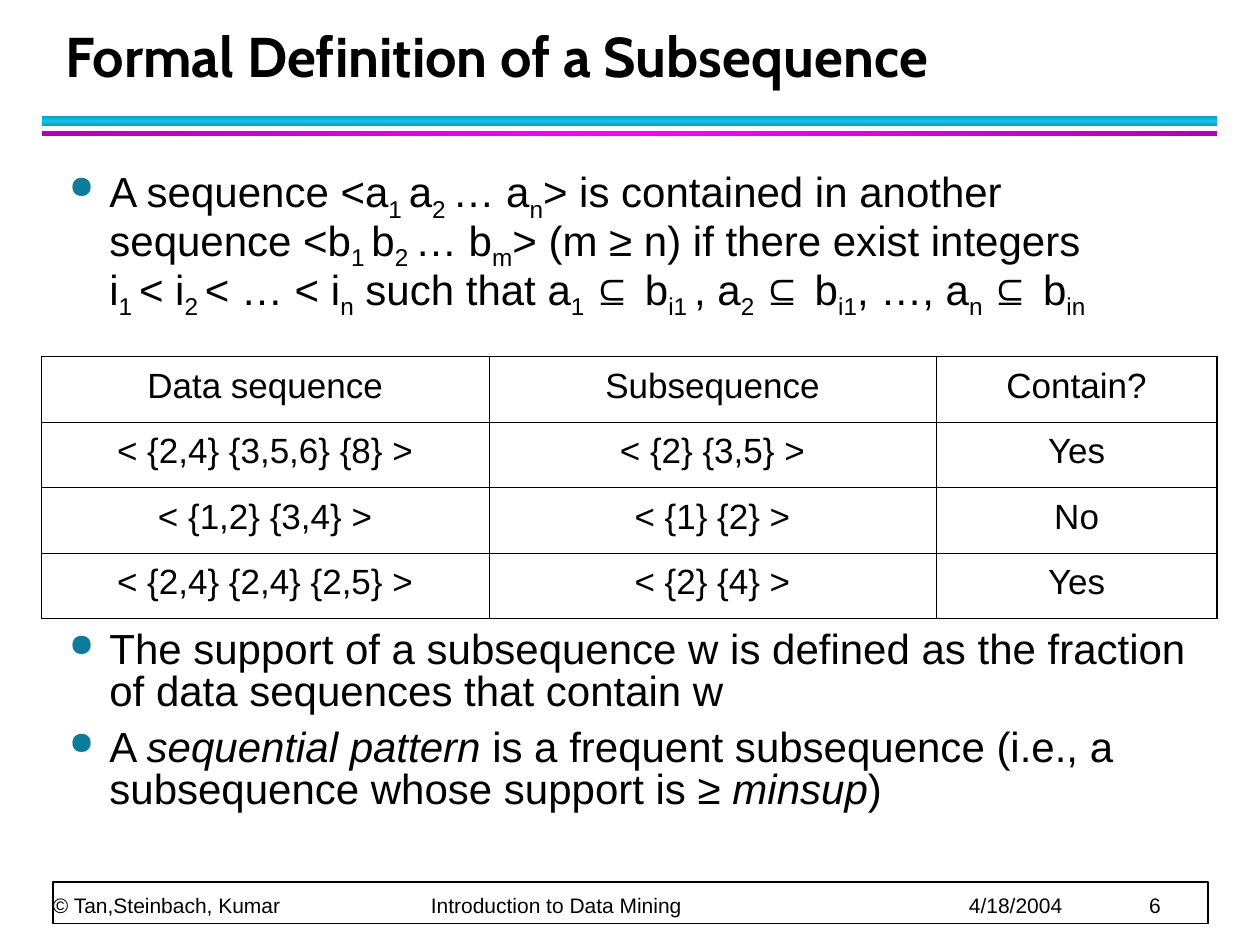
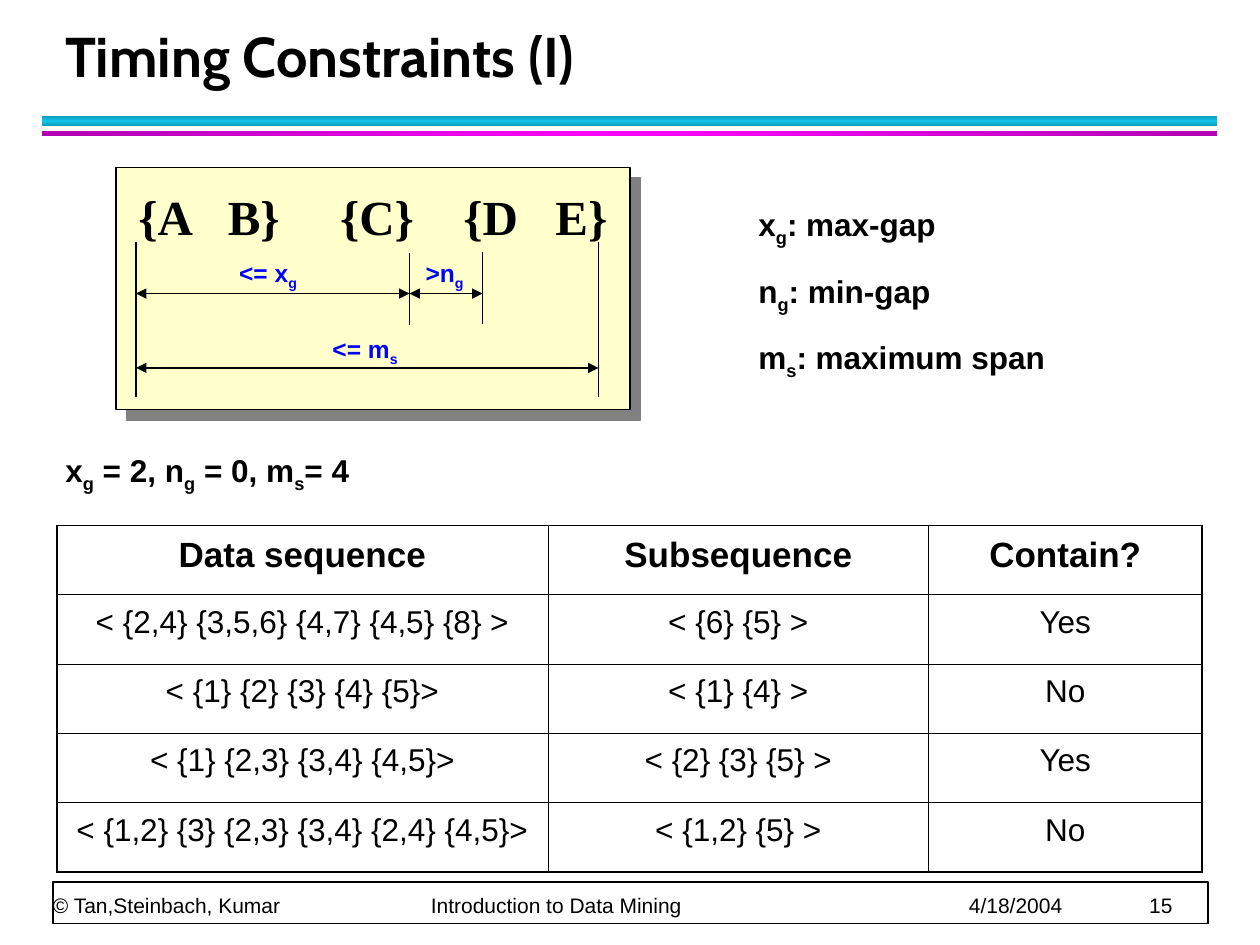
from lxml import etree
from pptx import Presentation
from pptx.dml.color import RGBColor
from pptx.enum import shapes, text
from pptx.oxml import parse_xml
from pptx.oxml import ns
from pptx.util import Inches, Pt

COLORS = {
    "black": "000000",
    "white": "FFFFFF",
    "teal": "0E9BBA",
    "cyan": "12C2E9",
    "purple": "B200B2",
    "magenta": "FF00FF",
    "bullet": "0C7B9C",
    "cream": "FFFFCC",
    "gray": "808080",
    "blue": "0000FF",
}
SUB = "sub"
ITALIC = "italic"


def rgb(name):
    return RGBColor.from_string(COLORS[name])


def add_xml(parent, tag, **attrs):
    el = etree.SubElement(parent, ns.qn(tag))
    for key, value in attrs.items():
        el.set(key, str(value))
    return el


def add_run(p, content, size, color="black", font="Arial", bold=False):
    r = p.add_run()
    r.text = content
    r.font.size = Pt(size)
    r.font.name = font
    r.font.bold = bold
    r.font.color.rgb = rgb(color)
    return r


def add_rich(p, content, size, marked=SUB, **style):
    for i, part in enumerate(content.split("|")):
        for j, piece in enumerate(part.split("\n")):
            if j:
                p.add_line_break()
            if not piece:
                continue
            r = add_run(p, piece, size, **style)
            if i % 2 and marked == SUB:
                r.font._element.set("baseline", "-25000")
            elif i % 2:
                r.font.italic = True


def add_tabs(p, stops):
    tabs = add_xml(p._p.get_or_add_pPr(), "a:tabLst")
    for stop in stops:
        add_xml(tabs, "a:tab", pos=Inches(stop), algn="l")


def add_box(s, x, y, w, h, wrap=True, margins=(0.1, 0.05), anchor="TOP"):
    sp = s.shapes.add_textbox(Inches(x), Inches(y), Inches(w), Inches(h))
    tf = sp.text_frame
    tf.word_wrap = wrap
    tf.margin_left = tf.margin_right = Inches(margins[0])
    tf.margin_top = tf.margin_bottom = Inches(margins[1])
    tf.vertical_anchor = text.MSO_ANCHOR[anchor]
    return sp


def add_rect(s, x, y, w, h, fill, line_width=0):
    sp = s.shapes.add_shape(
        shapes.MSO_SHAPE.RECTANGLE, Inches(x), Inches(y), Inches(w), Inches(h))
    sp.shadow.inherit = False
    sp.fill.solid()
    sp.fill.fore_color.rgb = rgb(fill)
    if line_width:
        sp.line.color.rgb = rgb("black")
        sp.line.width = Pt(line_width)
    else:
        sp.line.fill.background()
    return sp


def add_band(s, y, h, edge, middle, angle):
    sp = add_rect(s, 0.33, y, 9.33, h, edge)
    stops = "".join(
        f'<a:gs pos="{pos * 1000}"><a:srgbClr val="{COLORS[c]}"/></a:gs>'
        for pos, c in ((0, edge), (50, middle), (100, edge)))
    grad = parse_xml(
        f'<a:gradFill {ns.nsdecls("a")}><a:gsLst>{stops}</a:gsLst>'
        f'<a:lin ang="{angle * 60000}" scaled="0"/></a:gradFill>')
    spPr = sp._element.spPr
    spPr.replace(spPr.find(ns.qn("a:solidFill")), grad)


def add_footer(s, number):
    add_rect(s, 0.42, 7, 9.17, 0.33, "white", 1)
    sp = add_box(s, 0.42, 6.72, 9.15, 0.56, margins=(0, 0), anchor="BOTTOM")
    p = sp.text_frame.paragraphs[0]
    add_tabs(p, (3, 7.27, 8.7))
    p.line_spacing = Pt(20)
    parts = ("© Tan,Steinbach, Kumar", "Introduction to Data Mining", "4/18/2004", str(number))
    add_run(p, "\t".join(parts), 12)


def new_slide(prs, title, number):
    s = prs.slides.add_slide(prs.slide_layouts[6])
    add_band(s, 0.92, 0.08, "teal", "cyan", 90)
    add_band(s, 1.04, 0.04, "purple", "magenta", 0)
    add_footer(s, number)
    p = add_box(s, 0.42, 0.17, 9.06, 0.58, anchor="BOTTOM").text_frame.paragraphs[0]
    p.line_spacing = Pt(36)
    add_run(p, title, 32, font="Cabin", bold=True)
    return s


def add_bullets(s, y, h, items, marked):
    tf = add_box(s, 0.45, y, 9.1, h).text_frame
    for i, item in enumerate(items):
        p = tf.add_paragraph() if i else tf.paragraphs[0]
        pPr = p._p.get_or_add_pPr()
        pPr.set("marL", str(Inches(0.32)))
        pPr.set("indent", str(Inches(-0.32)))
        add_xml(add_xml(pPr, "a:buClr"), "a:srgbClr", val=COLORS["bullet"])
        add_xml(pPr, "a:buSzPct", val=75000)
        add_xml(pPr, "a:buChar", char="●")
        p.line_spacing = 0.85
        p.space_before = Pt(3 if i else 0)
        p.space_after = Pt(4)
        add_rich(p, item, 24, marked)


def add_border(cell, side, width):
    ln = add_xml(cell._tc.get_or_add_tcPr(), f"a:ln{side}", w=Pt(width))
    add_xml(add_xml(ln, "a:solidFill"), "a:srgbClr", val=COLORS["black"])


def add_grid(s, x, y, widths, row_h, rows, body_size, bold_header=False):
    n_rows, n_cols = len(rows), len(widths)
    tbl = s.shapes.add_table(
        n_rows, n_cols, Inches(x), Inches(y),
        Inches(sum(widths)), Inches(row_h * n_rows)).table
    tbl.first_row = tbl.horz_banding = False
    for c, width in enumerate(widths):
        tbl.columns[c].width = Inches(width)
    for r, row in enumerate(rows):
        tbl.rows[r].height = Inches(row_h)
        for c, content in enumerate(row):
            cell = tbl.cell(r, c)
            cell.margin_top = Inches(0.08)
            outer = {"L": c == 0, "R": c == n_cols - 1, "T": r == 0, "B": r == n_rows - 1}
            for side, is_outer in outer.items():
                add_border(cell, side, 1.08 if is_outer else 0.45)
            cell.fill.background()
            p = cell.text_frame.paragraphs[0]
            p.alignment = text.PP_ALIGN.CENTER
            add_run(p, content, body_size if r else 20, bold=bold_header and r == 0)


def add_line(s, x1, y1, x2, y2, arrows=False):
    cn = s.shapes.add_connector(
        shapes.MSO_CONNECTOR.STRAIGHT, Inches(x1), Inches(y1), Inches(x2), Inches(y2))
    cn.line.color.rgb = rgb("black")
    cn.line.width = Pt(0.75)
    if arrows:
        ln = cn.line._get_or_add_ln()
        add_xml(ln, "a:headEnd", type="triangle")
        add_xml(ln, "a:tailEnd", type="triangle")
    add_xml(cn._element.spPr, "a:effectLst")


def add_notes(s, x, y, w, h, items):
    tf = add_box(s, x, y, w, h).text_frame
    for i, item in enumerate(items):
        p = tf.add_paragraph() if i else tf.paragraphs[0]
        p.space_after = Pt(13.4)
        add_rich(p, item, 18, bold=True)


def add_timing_diagram(s):
    panel = add_rect(s, 0.92, 1.33, 4.08, 1.92, "cream", 0.75)
    effects = panel._element.spPr.find(ns.qn("a:effectLst"))
    shadow = add_xml(effects, "a:outerShdw", dist=Pt(8.5), dir=45 * 60000,
                     algn="ctr", rotWithShape=0)
    add_xml(shadow, "a:srgbClr", val=COLORS["gray"])

    p = add_box(s, 1, 1.43, 3.95, 0.57).text_frame.paragraphs[0]
    add_tabs(p, (0.71, 1.6, 2.58, 3.31))
    add_run(p, "{A\tB}\t{C}\t{D\tE}", 28, font="Times New Roman", bold=True)

    for label, x, y, w in (("<= m|s|", 2.54, 2.6, 0.72),
                           ("<= x|g|", 1.8, 2, 0.66),
                           (">n|g|", 3.28, 2, 0.5)):
        sp = add_box(s, x, y, w, 0.37, wrap=False)
        add_rich(sp.text_frame.paragraphs[0], label, 14, color="blue", bold=True)

    start, c_end, d_start, end = 1.08, 3.25, 3.83, 4.75
    for x1, x2, y in ((start, end, 2.92), (start, c_end, 2.33), (c_end, d_start, 2.33)):
        add_line(s, x1, y, x2, y, arrows=True)
    for x, top, bottom in ((start, 1.92, 3.15), (c_end, 2.01, 2.58),
                           (d_start, 2, 2.57), (end, 1.92, 3.15)):
        add_line(s, x, top, x, bottom)


def build_subsequence(prs):
    s = new_slide(prs, "Formal Definition of a Subsequence", 6)
    add_bullets(s, 1.29, 1.4, [
        "A sequence <a|1 |a|2 |… a|n|> is contained in another sequence "
        "<b|1 |b|2 |… b|m|> (m ≥ n) if there exist integers \n"
        "i|1 |< i|2 |< … < i|n| such that a|1 |⊆ b|i1 |, a|2 |⊆ b|i1|, …, a|n |⊆ b|in|",
    ], SUB)
    add_bullets(s, 4.95, 1.97, [
        "The support of a subsequence w is defined as the fraction "
        "of data sequences that contain w",
        "A |sequential pattern| is a frequent subsequence (i.e., a "
        "subsequence whose support is ≥ |minsup|)",
    ], ITALIC)
    add_grid(s, 0.33, 2.83, (3.55, 3.55, 2.23), 0.52, [
        ("Data sequence", "Subsequence", "Contain?"),
        ("< {2,4} {3,5,6} {8} >", "< {2} {3,5} >", "Yes"),
        ("< {1,2} {3,4} >", "< {1} {2} >", "No"),
        ("< {2,4} {2,4} {2,5} >", "< {2} {4} >", "Yes"),
    ], 20)


def build_timing(prs):
    s = new_slide(prs, "Timing Constraints (I)", 15)
    add_timing_diagram(s)
    add_notes(s, 5.92, 1.58, 3.42, 1.47,
              ["x|g|: max-gap", "n|g|: min-gap", "m|s|: maximum span"])
    add_notes(s, 0.42, 3.53, 8.58, 0.41, ["x|g| = 2, n|g| = 0, m|s|= 4"])
    add_grid(s, 0.45, 4.17, (3.9, 3.02, 2.17), 0.55, [
        ("Data sequence", "Subsequence", "Contain?"),
        ("< {2,4} {3,5,6} {4,7} {4,5} {8} >", "< {6} {5} >", "Yes"),
        ("< {1} {2} {3} {4} {5}>", "< {1} {4} >", "No"),
        ("< {1} {2,3} {3,4} {4,5}>", "< {2} {3} {5} >", "Yes"),
        ("< {1,2} {3} {2,3} {3,4} {2,4} {4,5}>", "< {1,2} {5} >", "No"),
    ], 18, bold_header=True)


def main():
    prs = Presentation()
    prs.slide_width = Inches(10)
    prs.slide_height = Inches(7.5)
    build_subsequence(prs)
    build_timing(prs)
    prs.save("out.pptx")


if __name__ == "__main__":
    main()
